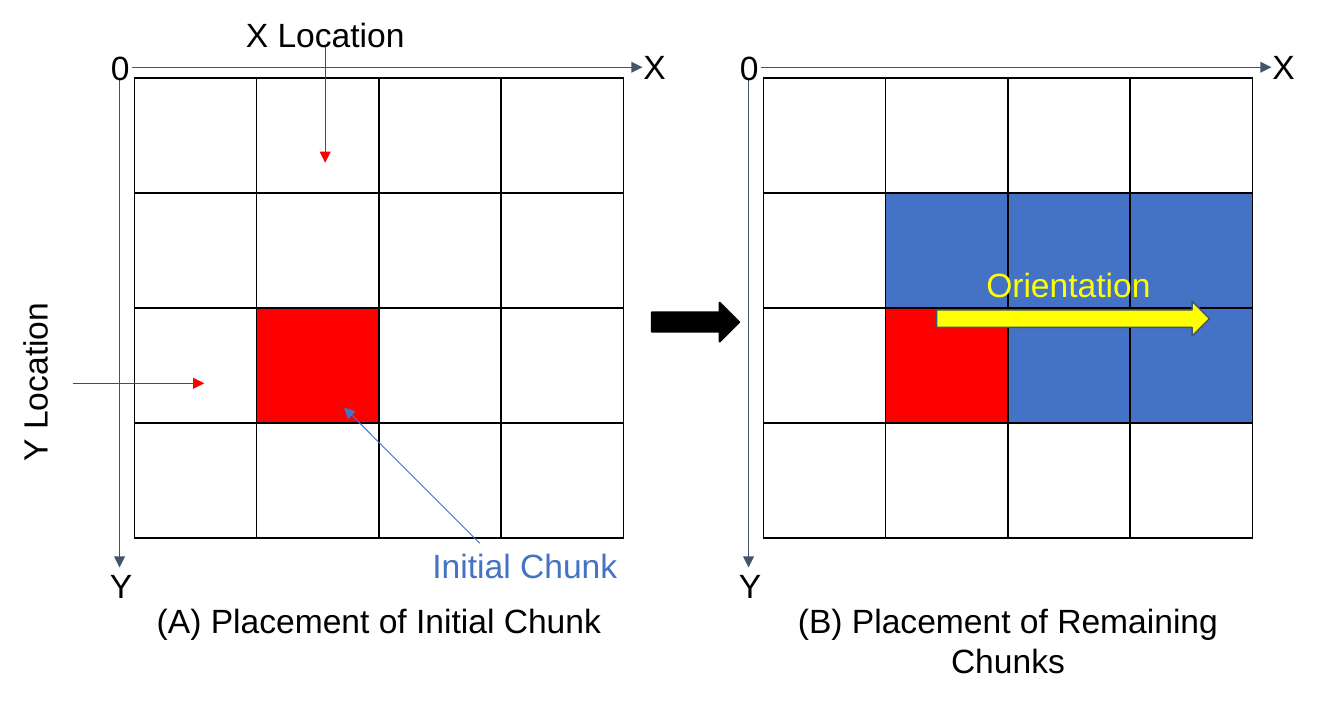
from itertools import product
from lxml import etree
from pptx import Presentation
from pptx.dml.color import RGBColor
from pptx.enum import shapes, text
from pptx.oxml.ns import qn
from pptx.util import Inches, Pt

C = {"red": "FF0000", "blue": "4472C4", "slate": "44546A",
     "yellow": "FFFF00", "black": "000000"}
N, CELL_W, CELL_H, TOP = 4, 0.91, 0.855, 0.58
GRID_W, GRID_H = N * CELL_W, N * CELL_H
PANELS = [
    {"left": 1, "caption": "(A) Placement of Initial Chunk", "caption_h": 0.5,
     "chunks": {(1, 2): "red"}},
    {"left": 5.68, "caption": "(B) Placement of Remaining Chunks", "caption_h": 0.81,
     "chunks": {(1, 2): "red", (1, 1): "blue", (2, 1): "blue", (2, 2): "blue",
                (3, 1): "blue", (3, 2): "blue"}},
]
AXES = [((-0.02, 0.5), (3.78, 0.5)), ((-0.11, 0.59), (-0.11, 4.22))]
AXIS_LABELS = [("0", -0.3, 0.25, 0.39), ("X", 3.41, 0.24, 0.92), ("Y", -0.56, 4.1, 0.92)]
LABELS = [
    ("X Location", (1.7, 0, 1.44, 0.54), "black", 0),
    ("Y Location", (-0.48, 2.58, 1.49, 0.52), "black", 270),
    ("Orientation", (7.23, 1.86, 1.44, 0.5), "yellow", 0),
    ("Initial Chunk", (2.78, 3.95, 2.25, 0.5), "blue", 0),
]
POINTERS = [
    ((2.42, 0.35), (2.42, 1.21), "red", 0.75),
    ((0.54, 2.85), (1.52, 2.85), "red", 0.75),
    ((3.57, 4.04), (2.56, 3.03), "blue", 0.5),
]
BLOCK_ARROWS = [
    ((6.97, 2.24, 2.03, 0.26), "yellow", "slate", 0.75),
    ((4.85, 2.25, 0.65, 0.29), "black", "black", 1),
]

prs = Presentation()
prs.slide_width, prs.slide_height = Inches(10), Inches(5.25)
s = prs.slides.add_slide(prs.slide_layouts[6])


def rgb(name):
    return RGBColor.from_string(C[name])


def add_shape(kind, box, fill, line, width=0.75):
    sp = s.shapes.add_shape(kind, *map(Inches, box))
    sp.shadow.inherit = False
    sp.fill.solid()
    sp.fill.fore_color.rgb = rgb(fill)
    sp.line.color.rgb = rgb(line)
    sp.line.width = Pt(width)


def add_arrow(start, end, color, width=0.75):
    cx = s.shapes.add_connector(shapes.MSO_CONNECTOR.STRAIGHT, *map(Inches, start + end))
    cx.line.color.rgb = rgb(color)
    cx.line.width = Pt(width)
    etree.SubElement(cx.line._get_or_add_ln(), qn("a:tailEnd"), type="triangle")
    etree.SubElement(cx._element.spPr, qn("a:effectLst"))


def add_label(words, box, color="black", rotation=0):
    sp = s.shapes.add_textbox(*map(Inches, box))
    sp.rotation = rotation
    tf = sp.text_frame
    tf.word_wrap = True
    tf.margin_left = tf.margin_right = tf.margin_top = tf.margin_bottom = Inches(0.1)
    p = tf.paragraphs[0]
    p.alignment = text.PP_ALIGN.CENTER
    r = p.add_run()
    r.text = words
    r.font.size, r.font.name = Pt(18), "Arial"
    r.font.color.rgb = rgb(color)


def add_grid(left):
    box = (left, TOP, GRID_W, GRID_H)
    table = s.shapes.add_table(N, N, *map(Inches, box)).table
    table.first_row = table.horz_banding = False
    for col in table.columns:
        col.width = Inches(CELL_W)
    for row in table.rows:
        row.height = Inches(CELL_H)
    for row, col in product(range(N), repeat=2):
        cell = table.cell(row, col)
        tcPr = cell._tc.get_or_add_tcPr()
        for side in ("lnL", "lnR", "lnT", "lnB"):
            ln = etree.SubElement(tcPr, qn("a:" + side), w=str(Pt(1)))
            fill = etree.SubElement(ln, qn("a:solidFill"))
            etree.SubElement(fill, qn("a:srgbClr"), val=C["black"])
        cell.fill.background()


for panel in PANELS:
    left = panel["left"]
    for (col, row), color in panel["chunks"].items():
        add_shape(shapes.MSO_SHAPE.RECTANGLE,
                  (left + col * CELL_W, TOP + row * CELL_H, CELL_W, CELL_H),
                  color, "slate")
    add_grid(left)
    for (x1, y1), (x2, y2) in AXES:
        add_arrow((left + x1, y1), (left + x2, y2), "slate")
    for words, dx, y, w in AXIS_LABELS:
        add_label(words, (left + dx, y, w, 0.54))
    add_label(panel["caption"], (left, 4.36, GRID_W, panel["caption_h"]))

for box, fill, line, width in BLOCK_ARROWS:
    add_shape(shapes.MSO_SHAPE.RIGHT_ARROW, box, fill, line, width)
for label in LABELS:
    add_label(*label)
for pointer in POINTERS:
    add_arrow(*pointer)

prs.save("out.pptx")
